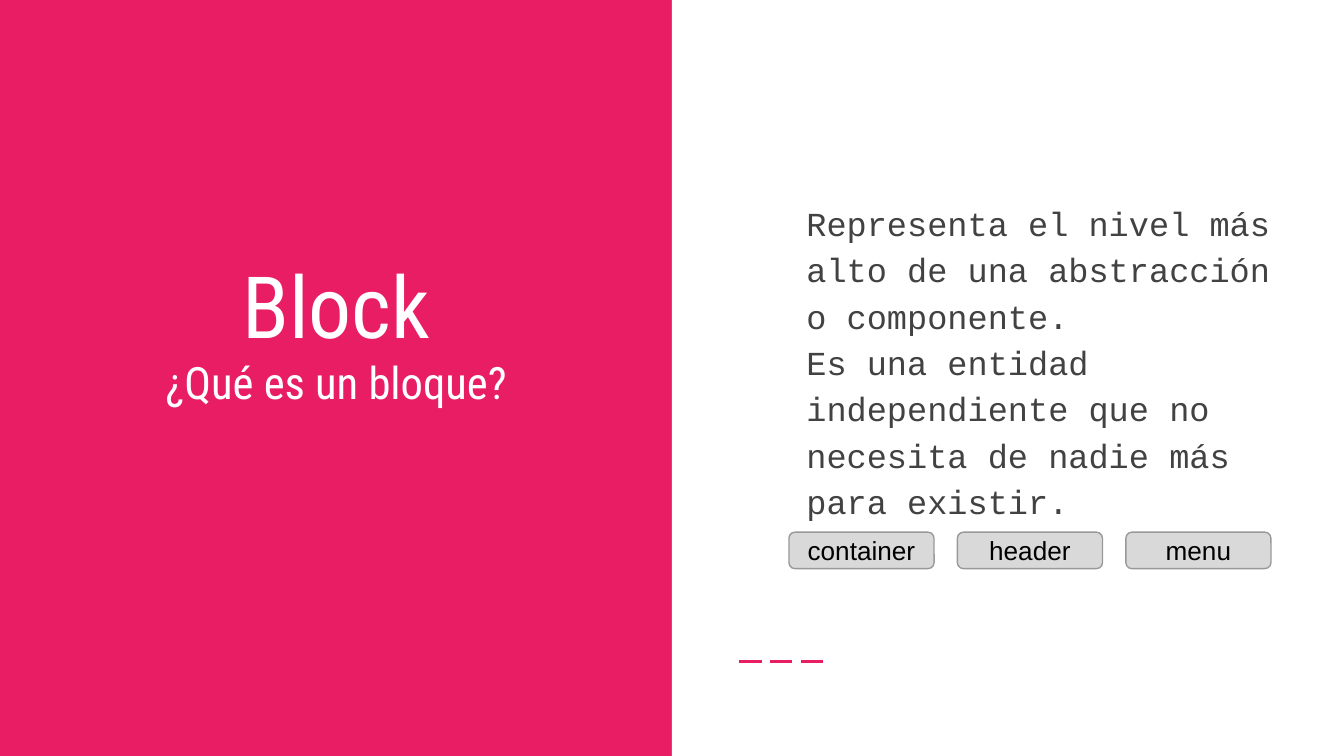
from pptx import Presentation
from pptx.dml.color import RGBColor
from pptx.enum.dml import MSO_LINE
from pptx.enum.shapes import MSO_CONNECTOR, MSO_SHAPE
from pptx.enum.text import MSO_ANCHOR, PP_ALIGN
from pptx.oxml.ns import qn
from pptx.util import Cm, Pt
from lxml.etree import SubElement

PINK = RGBColor(0xE9, 0x1D, 0x63)
WHITE = RGBColor(0xFF, 0xFF, 0xFF)
BLACK = RGBColor(0, 0, 0)
DARK = RGBColor(0x42, 0x42, 0x42)
GREY = RGBColor(0xD9, 0xD9, 0xD9)
EDGE = RGBColor(0x99, 0x99, 0x99)

WIDE, HIGH = 25.4, 14.29
PAD = 0.25


def add_shape(slide, kind, box, fill):
    shape = slide.shapes.add_shape(kind, *map(Cm, box))
    shape.shadow.inherit = False
    shape.fill.solid()
    shape.fill.fore_color.rgb = fill
    shape.line.fill.background()
    return shape


def set_frame(shape, anchor, left=PAD):
    frame = shape.text_frame
    frame.word_wrap = True
    frame.vertical_anchor = anchor
    frame.margin_left = Cm(left)
    frame.margin_top = frame.margin_right = frame.margin_bottom = Cm(PAD)
    return frame


def add_text(frame, lines, font, color, align, space=None):
    for index, (text, size) in enumerate(lines):
        para = frame.add_paragraph() if index else frame.paragraphs[0]
        para.alignment = align
        if space:
            para.line_spacing = space
        run = para.add_run()
        run.text = text
        run.font.name = font
        run.font.size = Pt(size)
        run.font.color.rgb = color


def draw_panel(slide, box):
    left, top, width, height = box
    add_shape(slide, MSO_SHAPE.RECTANGLE, box, WHITE)
    start, level = left + 1.27, top + 12.5
    dash = slide.shapes.add_connector(
        MSO_CONNECTOR.STRAIGHT, Cm(start), Cm(level), Cm(start + 1.6), Cm(level))
    dash.line.color.rgb = PINK
    dash.line.width = Pt(1.5)
    dash.line.dash_style = MSO_LINE.LONG_DASH
    SubElement(dash._element.spPr, qn("a:effectLst"))


def draw_title(slide, box):
    shape = slide.shapes.add_textbox(*map(Cm, box))
    frame = set_frame(shape, MSO_ANCHOR.BOTTOM)
    lines = [("Block", 46), ("¿Qué es un bloque?", 23.9)]
    add_text(frame, lines, "Roboto Condensed", WHITE, PP_ALIGN.CENTER)


def draw_body(slide, box):
    shape = slide.shapes.add_textbox(*map(Cm, box))
    frame = set_frame(shape, MSO_ANCHOR.MIDDLE, PAD + 1.27)
    lines = [
        ("Representa el nivel más alto de una abstracción o componente.", 18),
        ("Es una entidad independiente que no necesita de nadie más para existir.", 18),
    ]
    add_text(frame, lines, "Courier New", DARK, PP_ALIGN.LEFT, 1.15)


def draw_tags(slide, box, names):
    left, top, width, height = box
    gap = 0.44
    size = (width - gap * (len(names) - 1)) / len(names)
    for index, name in enumerate(names):
        spot = (left + index * (size + gap), top, size, height)
        tag = add_shape(slide, MSO_SHAPE.ROUNDED_RECTANGLE, spot, GREY)
        tag.line.color.rgb = EDGE
        tag.line.width = Pt(0.75)
        frame = set_frame(tag, MSO_ANCHOR.MIDDLE)
        add_text(frame, [(name, 14)], "Arial", BLACK, PP_ALIGN.CENTER)


def main():
    deck = Presentation()
    deck.slide_width, deck.slide_height = Cm(WIDE), Cm(HIGH)
    slide = deck.slides.add_slide(deck.slide_layouts[6])
    slide.background.fill.solid()
    slide.background.fill.fore_color.rgb = PINK
    draw_panel(slide, (WIDE / 2, 0, WIDE / 2, HIGH))
    draw_title(slide, (0.74, 3, 11.23, 4.98))
    draw_body(slide, (13.72, 2.01, 10.67, 9.55))
    draw_tags(slide, (14.91, 10.06, 9.11, 0.69), ["container", "header", "menu"])
    deck.save("out.pptx")


if __name__ == "__main__":
    main()
